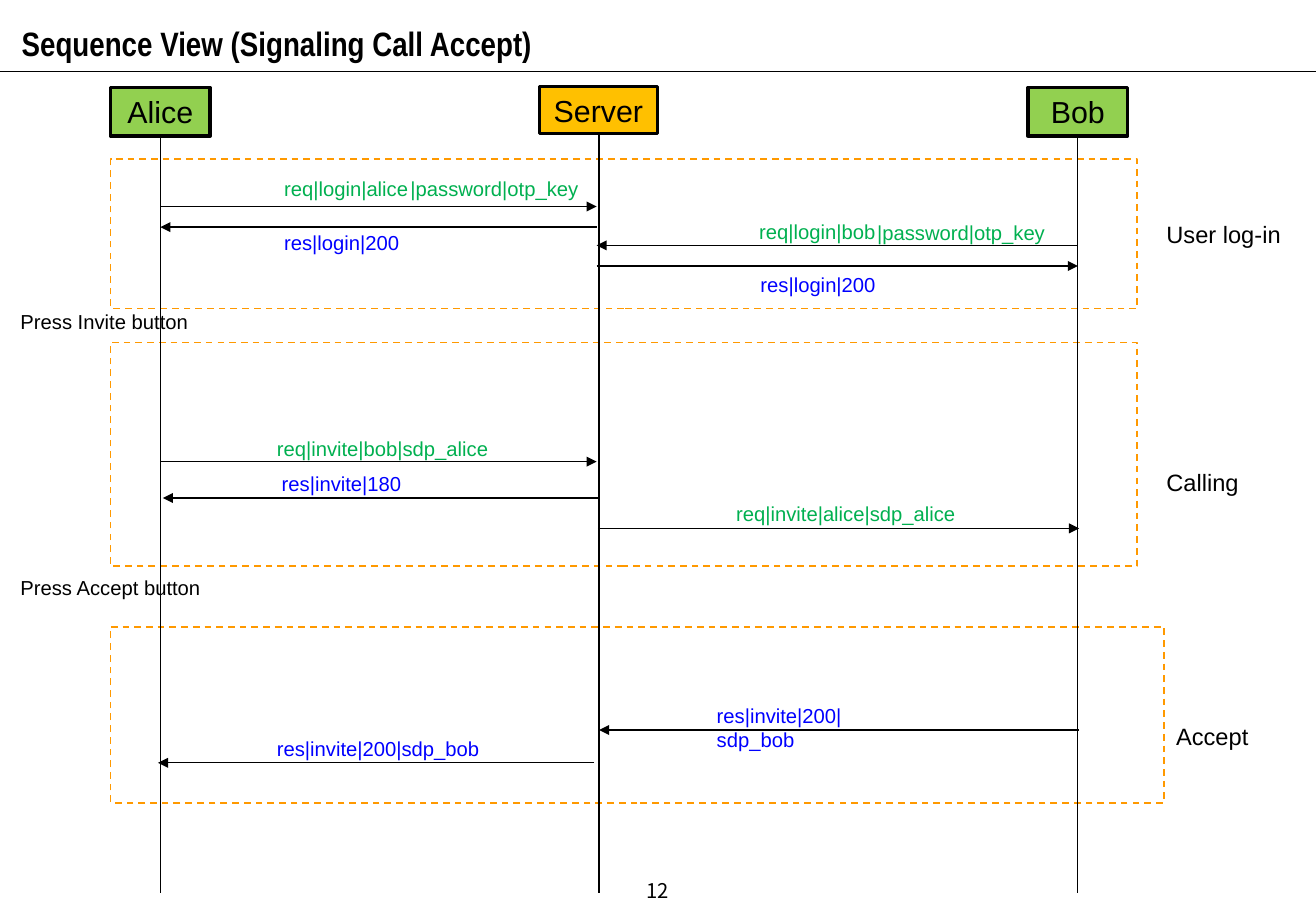
from pptx import Presentation
from pptx import util as u
from pptx.dml import color
from pptx.enum import dml, shapes, text
from pptx.oxml import ns, xmlchemy

PX = 9144
BLACK, GREEN, BLUE = "000000", "00B050", "0000FF"
LIME, AMBER, ORANGE = "92D050", "FFC000", "FF9900"

deck = Presentation()
deck.slide_width, deck.slide_height = 1083 * PX, 750 * PX
slide = deck.slides.add_slide(deck.slide_layouts[6])


def rgb(hex_string):
    return color.RGBColor.from_string(hex_string)


def write(frame, words, size, hue=BLACK, font="Arial", bold=False,
          centred=False, inset=5, wrap=True):
    frame.word_wrap = wrap
    frame.margin_left = frame.margin_right = 10 * PX
    frame.margin_top = frame.margin_bottom = inset * PX
    frame.vertical_anchor = text.MSO_ANCHOR.MIDDLE if centred else text.MSO_ANCHOR.TOP
    frame.auto_size = (text.MSO_AUTO_SIZE.NONE if centred
                       else text.MSO_AUTO_SIZE.SHAPE_TO_FIT_TEXT)
    paragraph = frame.paragraphs[0]
    paragraph.alignment = text.PP_ALIGN.CENTER if centred else text.PP_ALIGN.LEFT
    run = paragraph.add_run()
    run.text = words
    run.font.size = u.Pt(size)
    run.font.name = font
    run.font.bold = bold
    run.font.color.rgb = rgb(hue)
    return paragraph


title = slide.shapes.add_textbox(8 * PX, 7 * PX, 781 * PX, 50 * PX)
heading = write(title.text_frame, "Sequence View (Signaling Call Accept)", 20,
                font="Arial Narrow", bold=True)
heading.line_spacing = 1.2

actors = [
    ("Alice", LIME, 91, 72, 82, 40),
    ("Bob", LIME, 846, 72, 82, 40),
    ("Server", AMBER, 444, 71, 97, 39),
]
phases = [("", None, 91, top, width, height) for top, width, height in
          [(131, 845, 123), (282, 845, 184), (516, 867, 145)]]
for name, fill, left, top, width, height in actors + phases:
    box = slide.shapes.add_shape(shapes.MSO_SHAPE.RECTANGLE, left * PX, top * PX,
                                 width * PX, height * PX)
    box.shadow.inherit = False
    if fill:
        box.fill.solid()
        box.fill.fore_color.rgb = rgb(fill)
        box.line.color.rgb = rgb(BLACK)
        box.line.width = u.Pt(2)
        write(box.text_frame, name, 18, centred=True)
    else:
        box.fill.background()
        box.line.color.rgb = rgb(ORANGE)
        box.line.width = u.Pt(1)
        box.line.dash_style = dml.MSO_LINE.DASH

title_rule = (0, 59, 1083, 59, False)
lifelines = [(x, top, x, 735, False) for x, top in [(493, 111), (132, 112), (887, 112)]]
messages = [(start, y, end, y, True) for start, end, y in [
    (132, 491, 170), (491, 132, 187), (887, 491, 202), (491, 887, 219),
    (132, 491, 380), (493, 134, 410), (492, 888, 435),
    (888, 493, 601), (489, 130, 628),
]]
for x1, y1, x2, y2, arrow in [title_rule] + lifelines + messages:
    line = slide.shapes.add_connector(shapes.MSO_CONNECTOR.STRAIGHT,
                                      x1 * PX, y1 * PX, x2 * PX, y2 * PX)
    line.line.color.rgb = rgb(BLACK)
    line.line.width = u.Pt(0.75)
    if arrow:
        head = xmlchemy.OxmlElement("a:tailEnd")
        head.set("type", "triangle")
        line.line._get_or_add_ln().append(head)
    properties = line._element.find(ns.qn("p:spPr"))
    properties.append(xmlchemy.OxmlElement("a:effectLst"))

labels = [
    ("req|login|alice", 224, 140, 123, 30, 12, GREEN),
    ("res|login|200", 224, 185, 115, 30, 12, BLUE),
    ("req|login|bob", 615, 176, 116, 30, 12, GREEN),
    ("res|login|200", 616, 219, 115, 30, 12, BLUE),
    ("req|invite|bob|sdp_alice", 218, 354, 195, 30, 12, GREEN),
    ("res|invite|180", 222, 383, 119, 30, 12, BLUE),
    ("req|invite|alice|sdp_alice", 596, 408, 202, 30, 12, GREEN),
    ("res|invite|200|sdp_bob", 218, 601, 188, 30, 12, BLUE),
    ("User log-in", 950, 176, 115, 34, 14, BLACK),
    ("Calling", 950, 380, 80, 34, 14, BLACK),
    ("Accept", 958, 589, 80, 34, 14, BLACK),
    ("Press Invite button", 7, 250, 159, 30, 12, BLACK),
    ("Press Accept button", 7, 469, 170, 30, 12, BLACK),
]
for words, left, top, width, height, size, hue in labels:
    label = slide.shapes.add_textbox(left * PX, top * PX, width * PX, height * PX)
    write(label.text_frame, words, size, hue, wrap=False)

wrapped_labels = [
    ("res|invite|200|sdp_bob", 580, 574, 168, 50, BLUE, 5),
    ("|password|otp_key", 328, 135, 170, 40, GREEN, 10),
    ("|password|otp_key", 712, 171, 170, 40, GREEN, 10),
]
for words, left, top, width, height, hue, inset in wrapped_labels:
    label = slide.shapes.add_textbox(left * PX, top * PX, width * PX, height * PX)
    write(label.text_frame, words, 12, hue, inset=inset)

page_number = slide.shapes.add_textbox(415 * PX, 713 * PX, 253 * PX, 40 * PX)
write(page_number.text_frame, "12", 12, font="Noto Sans CJK KR", centred=True)

deck.save("out.pptx")
